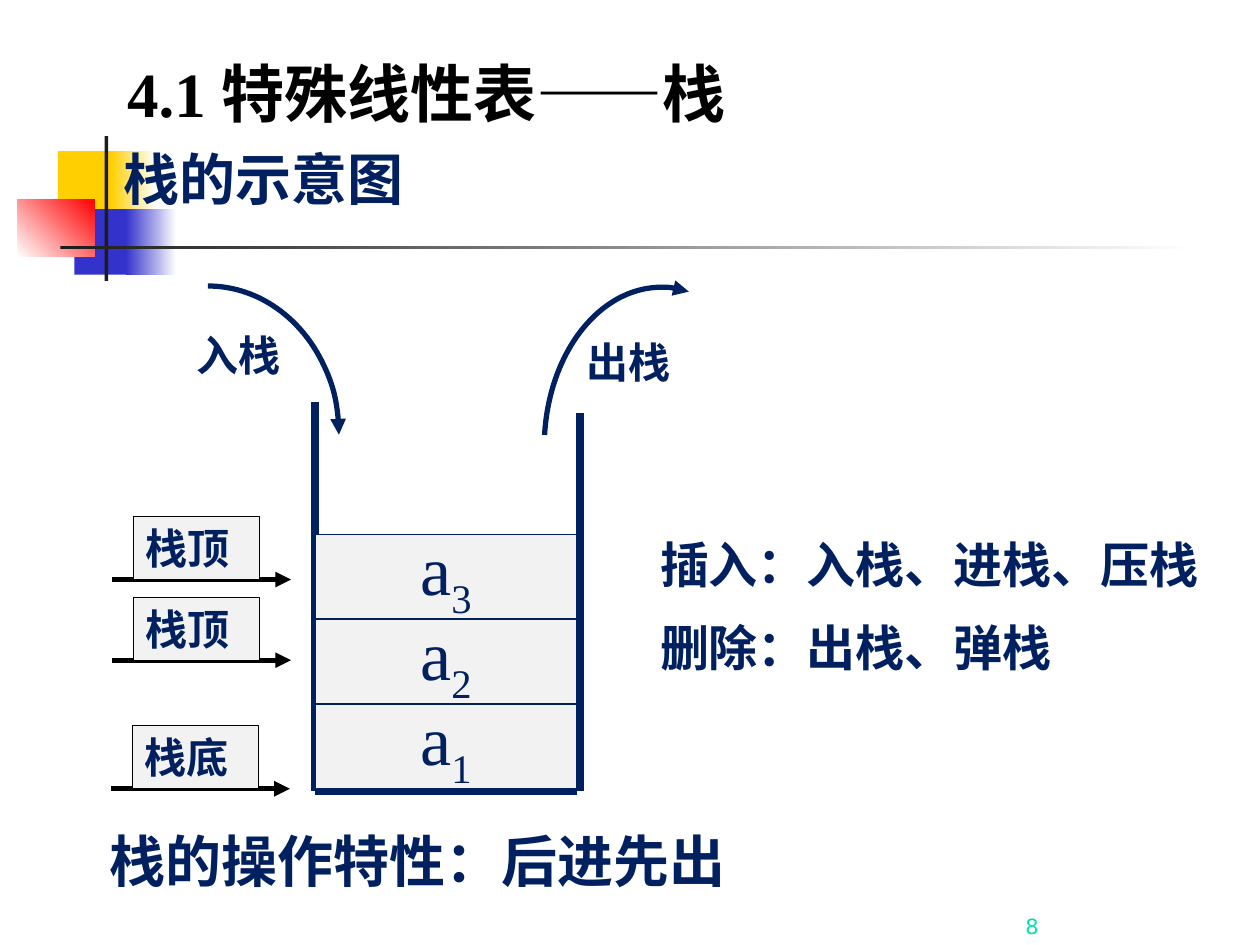
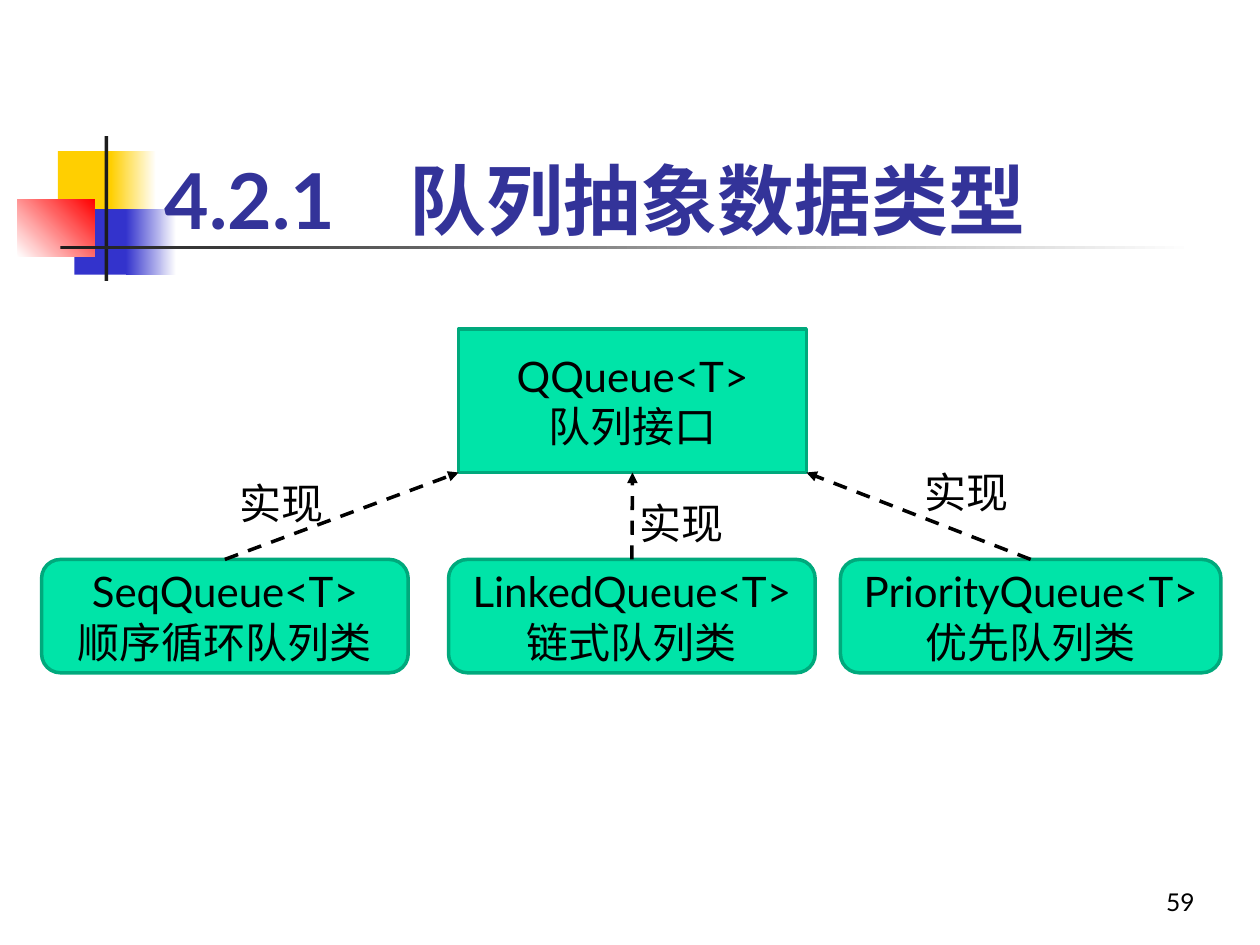
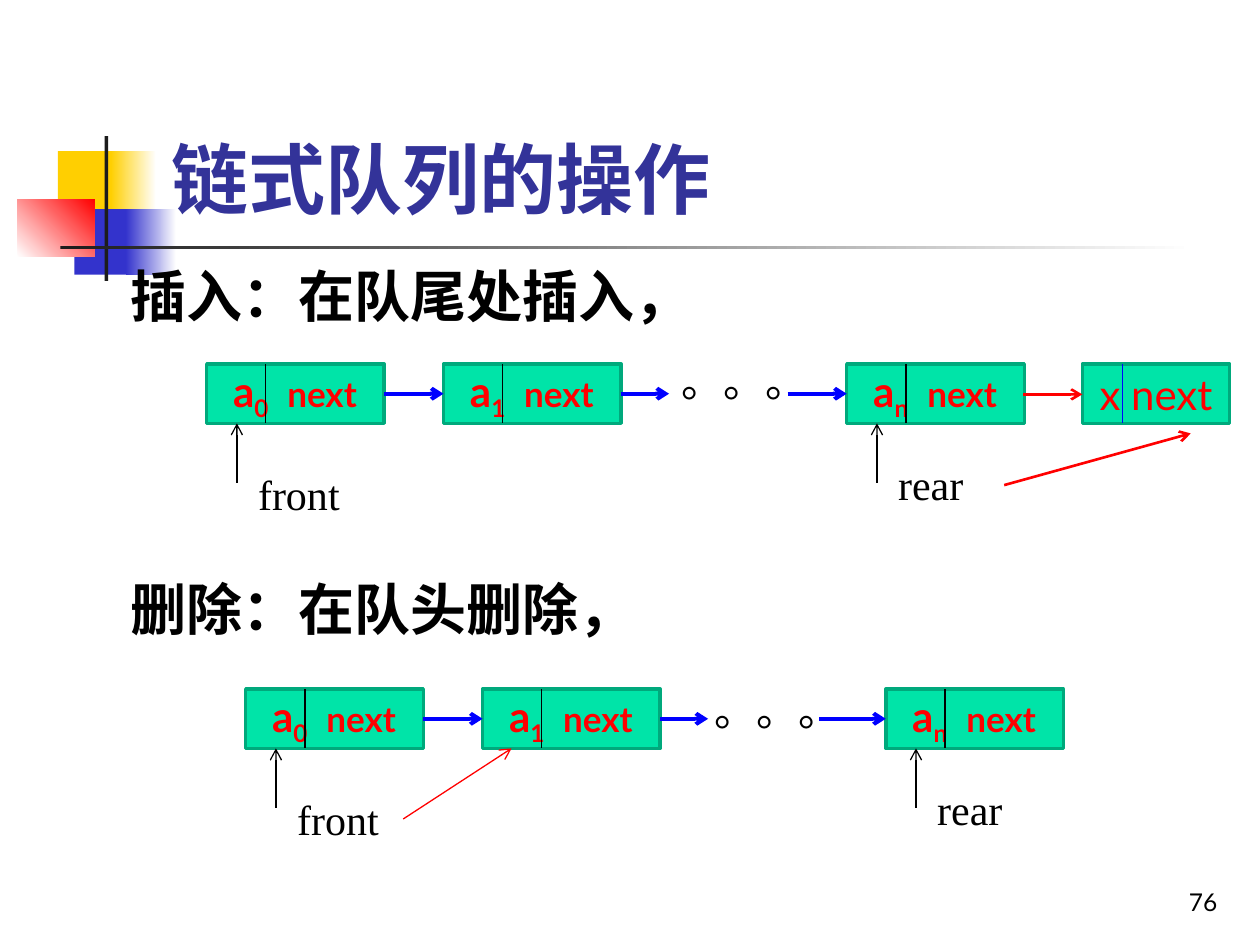
from pptx import Presentation
from pptx.dml.color import RGBColor
from pptx.enum.dml import MSO_LINE
from pptx.enum.shapes import MSO_CONNECTOR, MSO_SHAPE
from pptx.enum.text import MSO_ANCHOR, PP_ALIGN
from pptx.oxml.ns import qn
from pptx.util import Inches, Pt
from lxml import etree

RECT, ROUNDED, ARC = MSO_SHAPE.RECTANGLE, MSO_SHAPE.ROUNDED_RECTANGLE, MSO_SHAPE.ARC
STRAIGHT, DASH = MSO_CONNECTOR.STRAIGHT, MSO_LINE.DASH
LEFT, CENTER, RIGHT = PP_ALIGN.LEFT, PP_ALIGN.CENTER, PP_ALIGN.RIGHT
TOP, MIDDLE, BOTTOM = MSO_ANCHOR.TOP, MSO_ANCHOR.MIDDLE, MSO_ANCHOR.BOTTOM

BLACK = RGBColor(0x00, 0x00, 0x00)
WHITE = RGBColor(0xFF, 0xFF, 0xFF)
CHARCOAL = RGBColor(0x1C, 0x1C, 0x1C)
YELLOW = RGBColor(0xFF, 0xCF, 0x01)
BLUE = RGBColor(0x33, 0x33, 0xCC)
RED = RGBColor(0xFF, 0x00, 0x00)
LINK_BLUE = RGBColor(0x00, 0x00, 0xFF)
TITLE_BLUE = RGBColor(0x33, 0x33, 0x99)
NAVY = RGBColor(0x00, 0x20, 0x60)
PALE_GREY = RGBColor(0xF2, 0xF2, 0xF2)
GREEN = RGBColor(0x00, 0xE4, 0xA8)
DARK_GREEN = RGBColor(0x00, 0xA9, 0x7C)

SANS, SERIF, NUMBER_FONT = "Lato", "Times New Roman", "DejaVu Sans"

# Shared ornament: left, top, width, height, colours, gradient angle
ORNAMENT = [
    (0.46, 1.2, 0.48, 0.52, (YELLOW,), 0),
    (0.88, 1.2, 0.36, 0.52, (YELLOW, WHITE), 0),
    (0.59, 1.66, 0.46, 0.52, (BLUE,), 0),
    (1, 1.66, 0.4, 0.52, (BLUE, WHITE), 0),
    (0.14, 1.58, 0.61, 0.46, (WHITE, RED), 45),
    (0.83, 1.08, 0.03, 1.15, (CHARCOAL,), 0),
    (0.48, 1.95, 9, 0.03, (CHARCOAL, WHITE), 0),
]

# Stack slide
STACK_TITLE = "4.1 特殊线性表——栈"
STACK_TEXTS = [  # text lines, box, size
    (["栈的示意图"], (0.88, 1.1, 5.58, 0.63), 32),
    (["栈的操作特性：后进先出"], (0.77, 6.51, 7.08, 0.63), 32),
    (["入栈"], (1.46, 2.57, 0.98, 0.5), 24),
    (["出栈"], (4.56, 2.62, 0.92, 0.5), 24),
    (["插入：入栈、进栈、压栈", "删除：出栈、弹栈"], (5.14, 4.19, 4.51, 1.27), 28),
]
STACK_WALLS = [
    ((2.5, 3.19), (2.5, 6.28)),
    ((2.5, 6.28), (4.58, 6.28)),
    ((4.6, 3.28), (4.6, 6.28)),
]
STACK_CELLS = ["3", "2", "1"]
STACK_MARKS = [("栈顶", 1.06, 4.1), ("栈顶", 1.06, 4.74), ("栈底", 1.05, 5.76)]
STACK_ARCS = [  # ellipse box, start and end angle
    ((0.61, 2.27, 2.08, 2.36), 270, 0),
    ((4.32, 2.28, 1.86, 2.54), 186, 280),
]

# Queue type slide
QUEUE_INTERFACE = (["QQueue<T>", "队列接口"], (3.64, 2.61, 2.76, 1.14))
QUEUE_CLASSES = [  # lines, left, width, arrow target x, label place
    (["SeqQueue<T>", "顺序循环队列类"], 0.33, 2.91, 3.64, (1.8, 3.74)),
    (["LinkedQueue<T>", "链式队列类"], 3.56, 2.91, 5.02, (4.98, 3.9)),
    (["PriorityQueue<T>", "优先队列类"], 6.67, 3.02, 6.4, (7.24, 3.65)),
]

# Linked queue slide
LINKED_QUEUES = [
    dict(heading="插入：在队尾处插入，", heading_top=2.03, left=1.64, top=2.89,
         dots=(5.31, 2.77), last_link=6.25),
    dict(heading="删除：在队头删除，", heading_top=4.51, left=1.95, top=5.47,
         dots=(5.57, 5.38), last_link=6.5),
]
NODE_OFFSETS = [("0", 0), ("1", 1.88), ("n", 5.08)]
POINTERS = [("front", 0, 0.78), ("rear", 5.08, 0.7)]  # name, node offset, label drop
NODE_W, NODE_H = 1.41, 0.47


def write(shape, lines, size, font=SERIF, color=NAVY, bold=False,
          align=LEFT, anchor=TOP, gap=0, tab=None, wrap=True):
    """Fill a shape with lines; a line given as a tuple becomes several runs."""
    frame = shape.text_frame
    frame.word_wrap = wrap
    frame.vertical_anchor = anchor
    for index, line in enumerate(lines):
        paragraph = frame.add_paragraph() if index else frame.paragraphs[0]
        paragraph.alignment = align
        if index and gap:
            paragraph.space_before = Pt(gap)
        if tab:
            stops = etree.SubElement(paragraph._p.get_or_add_pPr(), qn("a:tabLst"))
            etree.SubElement(stops, qn("a:tab"), pos=str(Inches(tab)), algn="l")
        for part in (line,) if isinstance(line, str) else line:
            run = paragraph.add_run()
            run.text = part
            run.font.size = Pt(size)
            run.font.name = font
            run.font.bold = bold
            run.font.color.rgb = color
    return shape


def text_box(slide, lines, box, size, **style):
    return write(slide.shapes.add_textbox(*map(Inches, box)), lines, size, **style)


def block(slide, kind, box, fill, outline=None, width=0.75):
    shape = slide.shapes.add_shape(kind, *map(Inches, box))
    shape.shadow.inherit = False
    if fill is None:
        shape.fill.background()
    else:
        shape.fill.solid()
        shape.fill.fore_color.rgb = fill
    if outline is None:
        shape.line.fill.background()
    else:
        shape.line.color.rgb = outline
        shape.line.width = Pt(width)
    return shape


def add_arrowhead(shape, arrow):
    etree.SubElement(shape.line._get_or_add_ln(), qn("a:tailEnd"), type=arrow)


def line(slide, start, end, color=BLACK, width=0.75, arrow=None, dash=None):
    connector = slide.shapes.add_connector(STRAIGHT, *map(Inches, start + end))
    connector.line.color.rgb = color
    connector.line.width = Pt(width)
    if dash:
        connector.line.dash_style = dash
    if arrow:
        add_arrowhead(connector, arrow)
    etree.SubElement(connector._element.spPr, qn("a:effectLst"))


def subscript(run):
    run.font._element.set("baseline", "-25000")


def add_text_shadow(run):
    effects = etree.Element(qn("a:effectLst"))
    shadow = etree.SubElement(effects, qn("a:outerShdw"), dist="38100", dir="2700000")
    etree.SubElement(shadow, qn("a:srgbClr"), val="C0C0C0")
    run.font._element.find(qn("a:solidFill")).addnext(effects)


def new_slide(deck):
    slide = deck.slides.add_slide(deck.slide_layouts[6])
    for *box, colors, angle in ORNAMENT:
        shape = block(slide, RECT, box, colors[0])
        if len(colors) > 1:
            shape.fill.gradient()
            shape.fill.gradient_angle = angle
            for stop, color in zip(shape.fill.gradient_stops, colors):
                stop.color.rgb = color
    return slide


def add_title(slide, title, left, top, tab=None):
    text_box(slide, [title], (left, top, 8.52, 0.92), 44, font=SANS,
             color=TITLE_BLUE, bold=True, anchor=BOTTOM, tab=tab)


def add_page_number(slide, number, left):
    text_box(slide, [number], (left, 6.82, 2.08, 0.5), 14, font=SANS,
             color=BLACK, align=RIGHT, anchor=BOTTOM)


def build_stack(deck):
    slide = new_slide(deck)
    heading = text_box(slide, [STACK_TITLE], (0.79, 0.38, 5.37, 0.71), 36,
                       color=BLACK, bold=True)
    heading.text_frame.margin_left = Inches(0.22)
    add_text_shadow(heading.text_frame.paragraphs[0].runs[0])

    # Container and its elements
    for start, end in STACK_WALLS:
        line(slide, start, end, NAVY, 4.5)
    for row, index in enumerate(STACK_CELLS):
        cell = block(slide, RECT, (2.5, 4.24 + row * 0.675, 2.08, 0.67), PALE_GREY, NAVY)
        write(cell, [("a", index)], 40, align=CENTER, anchor=MIDDLE, wrap=False)
        cell.text_frame.margin_top = 0
        subscript(cell.text_frame.paragraphs[0].runs[1])

    # Push and pop arrows
    for box, start, end in STACK_ARCS:
        arc = block(slide, ARC, box, None, NAVY, 3)
        arc.adjustments[0] = start * 0.6
        arc.adjustments[1] = end * 0.6
        add_arrowhead(arc, "triangle")

    # Top and bottom marks
    for mark, left, top in STACK_MARKS:
        line(slide, (left - 0.17, top + 0.5), (left + 1.25, top + 0.5), BLACK, 3, "triangle")
        label = block(slide, RECT, (left, top, 1, 0.5), PALE_GREY, BLACK)
        write(label, [mark], 24, bold=True)

    for lines, box, size in STACK_TEXTS:
        text_box(slide, lines, box, size, bold=True, gap=size / 2)
    text_box(slide, ["8"], (6.38, 7.26, 3.62, 0.24), 12, font=NUMBER_FONT,
             color=GREEN, align=CENTER, anchor=BOTTOM)


def build_queue_types(deck):
    slide = new_slide(deck)
    add_title(slide, "4.2.1\t队列抽象数据类型", 1.21, 1.07, tab=1.94)
    type_style = dict(font=SANS, color=BLACK, align=CENTER, anchor=MIDDLE)

    lines, box = QUEUE_INTERFACE
    write(block(slide, RECT, box, GREEN, DARK_GREEN, 2), lines, 24, **type_style)
    for lines, left, width, target, label in QUEUE_CLASSES:
        queue_class = block(slide, ROUNDED, (left, 4.44, width, 0.9), GREEN, DARK_GREEN, 2)
        write(queue_class, lines, 24, **type_style)
        line(slide, (left + width / 2, 4.44), (target, 3.75), BLACK, 2, "triangle", DASH)
        text_box(slide, ["实现"], label + (0.88, 0.5), 24, color=BLACK, wrap=False)
    add_page_number(slide, "59", 7.5)


def add_node(slide, index, left, top):
    node = block(slide, RECT, (left, top, NODE_W, NODE_H), GREEN, DARK_GREEN, 2)
    write(node, [("a", index, "\tnext")], 24, font=SANS, color=RED, bold=True,
          anchor=MIDDLE, tab=0.43)
    node.text_frame.margin_left = Inches(0.21)
    runs = node.text_frame.paragraphs[0].runs
    subscript(runs[1])
    runs[2].font.size = Pt(20)
    line(slide, (left + NODE_W / 3, top), (left + NODE_W / 3, top + NODE_H))


def add_linked_queue(slide, queue):
    left, top = queue["left"], queue["top"]
    text_box(slide, [queue["heading"]], (0.94, queue["heading_top"], 8.5, 0.65), 32,
             font=SANS, color=BLACK, bold=True)
    for index, offset in NODE_OFFSETS:
        add_node(slide, index, left + offset, top)

    # Links between nodes
    middle = top + NODE_H / 2
    for start, end in [(left + 1.41, left + 1.88), (left + 3.29, left + 3.67),
                       (queue["last_link"], left + 5.08)]:
        line(slide, (start, middle), (end, middle), LINK_BLUE, 2.25, "arrow")
    text_box(slide, ["。。。"], queue["dots"] + (1.21, 0.5), 24, color=BLACK, wrap=False)

    # Front and rear pointers
    for name, offset, drop in POINTERS:
        x = left + offset + 0.24
        line(slide, (x, top + 2 * NODE_H), (x, top + NODE_H), arrow="arrow")
        text_box(slide, [name], (left + offset + 0.31, top + drop, 0.94, 0.51), 24,
                 color=BLACK)


def build_linked_queue(deck):
    slide = new_slide(deck)
    add_title(slide, "链式队列的操作", 1.26, 0.91)
    for queue in LINKED_QUEUES:
        add_linked_queue(slide, queue)

    # Inserted node, and the pointers that move
    inserted = block(slide, RECT, (8.59, 2.89, 1.17, NODE_H), GREEN, DARK_GREEN, 2)
    write(inserted, ["x next"], 24, font=SANS, color=RED, align=CENTER, anchor=MIDDLE)
    line(slide, (8.91, 2.89), (8.91, 3.36), LINK_BLUE)
    line(slide, (8.12, 3.13), (8.59, 3.13), RED, 1.5, "arrow")
    line(slide, (7.97, 3.85), (9.45, 3.44), RED, 1.5, "arrow")
    line(slide, (3.2, 6.5), (4.06, 5.94), RED, arrow="arrow")
    add_page_number(slide, "76", 7.68)


def main():
    deck = Presentation()
    deck.slide_width, deck.slide_height = Inches(10), Inches(7.5)
    build_stack(deck)
    build_queue_types(deck)
    build_linked_queue(deck)
    deck.save("out.pptx")


if __name__ == "__main__":
    main()
